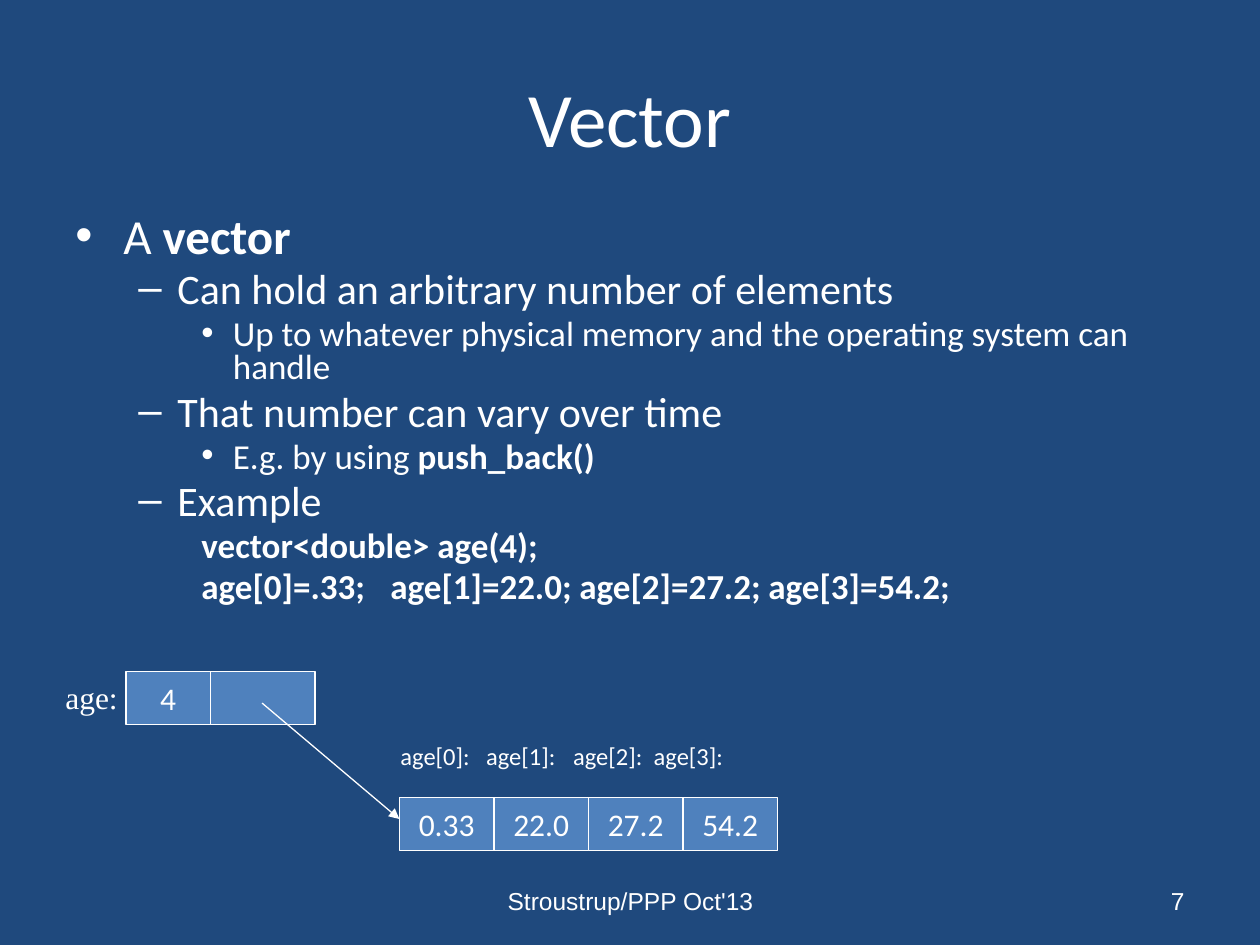
from lxml.etree import SubElement
from pptx import Presentation
from pptx.dml.color import RGBColor
from pptx.enum.shapes import MSO_CONNECTOR, MSO_SHAPE
from pptx.enum.text import MSO_ANCHOR as ANCHOR, PP_ALIGN as ALIGN
from pptx.oxml.ns import qn
from pptx.util import Inches, Pt

COLORS = {"back": "1F497D", "cell": "4F81BD", "ink": "FFFFFF"}
TITLE = "Vector"
FOOTER = "Stroustrup/PPP Oct'13"
PAGE = "7"

# level, then (text, bold) runs
BODY = [
    ("topic", [("A ", False), ("vector", True)]),
    ("point", [("Can hold an arbitrary number of elements", False)]),
    ("detail", [("Up to whatever physical memory and the operating system can handle", False)]),
    ("point", [("That number can vary over time", False)]),
    ("detail", [("E.g. by using ", False), ("push_back()", True)]),
    ("point", [("Example", False)]),
    ("code", [("vector<double> age(4);", True)]),
    ("code", [("age[0]=.33;\tage[1]=22.0;\tage[2]=27.2;\tage[3]=54.2;", True)]),
]
# size, left margin, first-line indent, bullet, tab stops
LEVELS = {
    "topic": (28, 0.38, -0.38, "•", ()),
    "point": (24, 0.81, -0.31, "–", ()),
    "detail": (20, 1.25, -0.25, "•", ()),
    "code": (20, 0, 1, None, (2.55, 4.24, 5.93)),
}
HEADER_CELLS = [("4", 0.67), ("", 0.83)]
ELEMENT_CELLS = [(value, 0.75) for value in ("0.33", "22.0", "27.2", "54.2")]
ELEMENT_LABELS = "age[0]:\tage[1]:\tage[2]:\tage[3]:"
LABEL_TABS = (0.68, 1.37, 2.01)
CELL_HEIGHT = 0.42


def rgb(name):
    return RGBColor.from_string(COLORS[name])


def add_run(p, text, size, font="Calibri", bold=False):
    r = p.add_run()
    r.text = text
    r.font.size = Pt(size)
    r.font.name = font
    r.font.bold = bold
    r.font.color.rgb = rgb("ink")


def add_tabs(p, stops):
    tabs = SubElement(p._p.get_or_add_pPr(), qn("a:tabLst"))
    for stop in stops:
        SubElement(tabs, qn("a:tab"), pos=str(Inches(stop)), algn="l")


def add_text(slide, text, box, size=18, font="Calibri", align=ALIGN.LEFT,
             anchor=ANCHOR.TOP, tabs=()):
    tf = slide.shapes.add_textbox(*map(Inches, box)).text_frame
    tf.word_wrap = True
    tf.vertical_anchor = anchor
    p = tf.paragraphs[0]
    p.alignment = align
    if tabs:
        add_tabs(p, tabs)
    add_run(p, text, size, font)


def add_body(slide, box):
    tf = slide.shapes.add_textbox(*map(Inches, box)).text_frame
    tf.word_wrap = True
    for i, (level, runs) in enumerate(BODY):
        size, margin, indent, bullet, tabs = LEVELS[level]
        p = tf.add_paragraph() if i else tf.paragraphs[0]
        p.line_spacing = 0.8
        p.space_before = Pt(size * 0.2)
        pPr = p._p.get_or_add_pPr()
        pPr.set("marL", str(Inches(margin)))
        pPr.set("indent", str(Inches(indent)))
        if bullet:
            SubElement(pPr, qn("a:buFont"), typeface="Arial")
            SubElement(pPr, qn("a:buChar"), char=bullet)
        if tabs:
            add_tabs(p, tabs)
        for text, bold in runs:
            add_run(p, text, size, bold=bold)


def add_cells(slide, cells, left, top):
    """Draw adjoining boxes from left to right."""
    for text, width in cells:
        s = slide.shapes.add_shape(
            MSO_SHAPE.RECTANGLE, *map(Inches, (left, top, width, CELL_HEIGHT)))
        s.shadow.inherit = False
        s.fill.solid()
        s.fill.fore_color.rgb = rgb("cell")
        s.line.color.rgb = rgb("ink")
        s.line.width = Pt(0.75)
        if text:
            tf = s.text_frame
            tf.word_wrap = False
            tf.vertical_anchor = ANCHOR.MIDDLE
            tf.paragraphs[0].alignment = ALIGN.CENTER
            add_run(tf.paragraphs[0], text, 18)
        left += width


def add_arrow(slide, start, end):
    c = slide.shapes.add_connector(MSO_CONNECTOR.STRAIGHT, *map(Inches, start + end))
    c.line.color.rgb = rgb("ink")
    c.line.width = Pt(0.75)
    SubElement(c.line._get_or_add_ln(), qn("a:tailEnd"), type="triangle")
    SubElement(c._element.spPr, qn("a:effectLst"))


def main():
    prs = Presentation()
    prs.slide_width, prs.slide_height = Inches(10), Inches(7.5)
    slide = prs.slides.add_slide(prs.slide_layouts[6])
    slide.background.fill.solid()
    slide.background.fill.fore_color.rgb = rgb("back")

    add_text(slide, TITLE, (0.5, 0.3, 9, 1.25), size=44,
             align=ALIGN.CENTER, anchor=ANCHOR.MIDDLE)
    add_body(slide, (0.5, 1.67, 9.25, 3.33))

    add_cells(slide, HEADER_CELLS, 1, 5.33)
    add_cells(slide, ELEMENT_CELLS, 3.17, 6.33)
    add_arrow(slide, (2.08, 5.58), (3.17, 6.5))
    add_text(slide, "age:", (0.42, 5.33, 0.75, 0.4), font="Times New Roman")
    add_text(slide, ELEMENT_LABELS, (3.08, 5.83, 3.17, 0.33), size=14, tabs=LABEL_TABS)

    for text, left, width, align in ((FOOTER, 3.42, 3.17, ALIGN.CENTER),
                                     (PAGE, 7.17, 2.33, ALIGN.RIGHT)):
        add_text(slide, text, (left, 6.95, width, 0.4), size=14, font="Arial",
                 align=align, anchor=ANCHOR.MIDDLE)
    prs.save("out.pptx")


if __name__ == "__main__":
    main()
